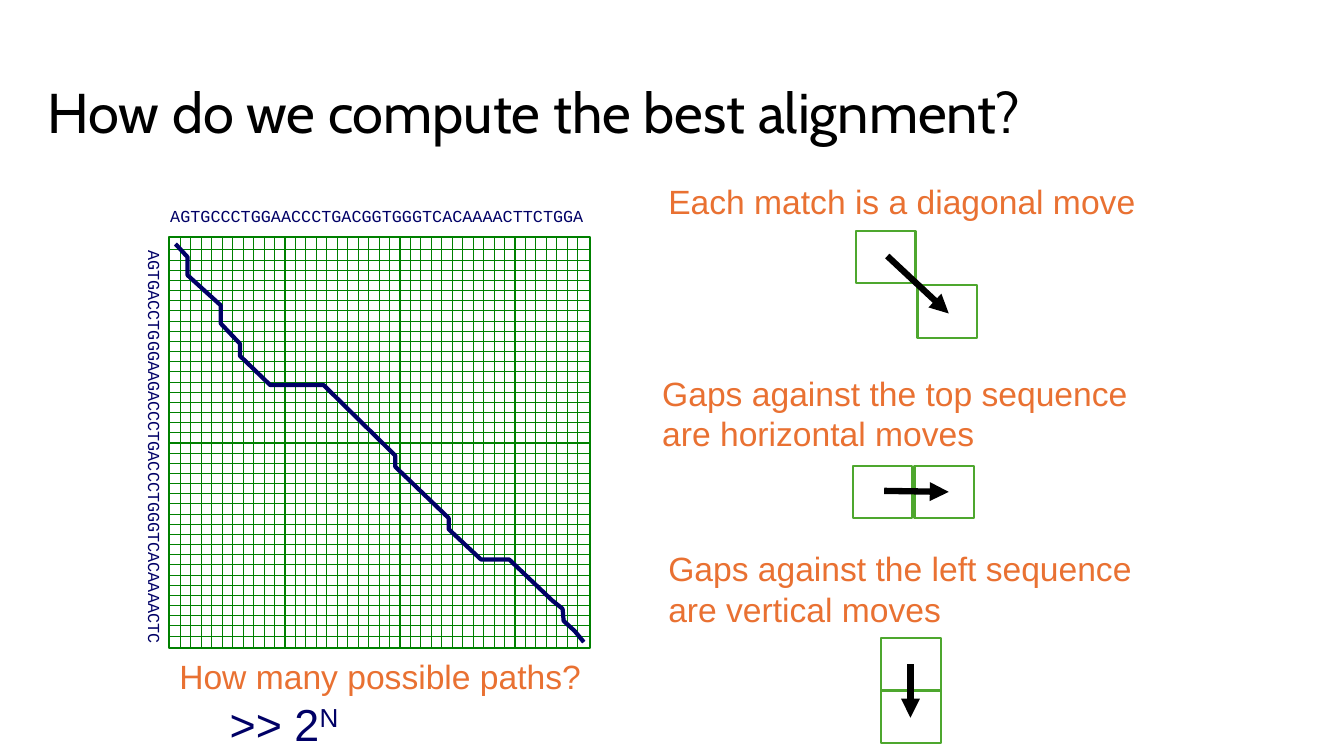
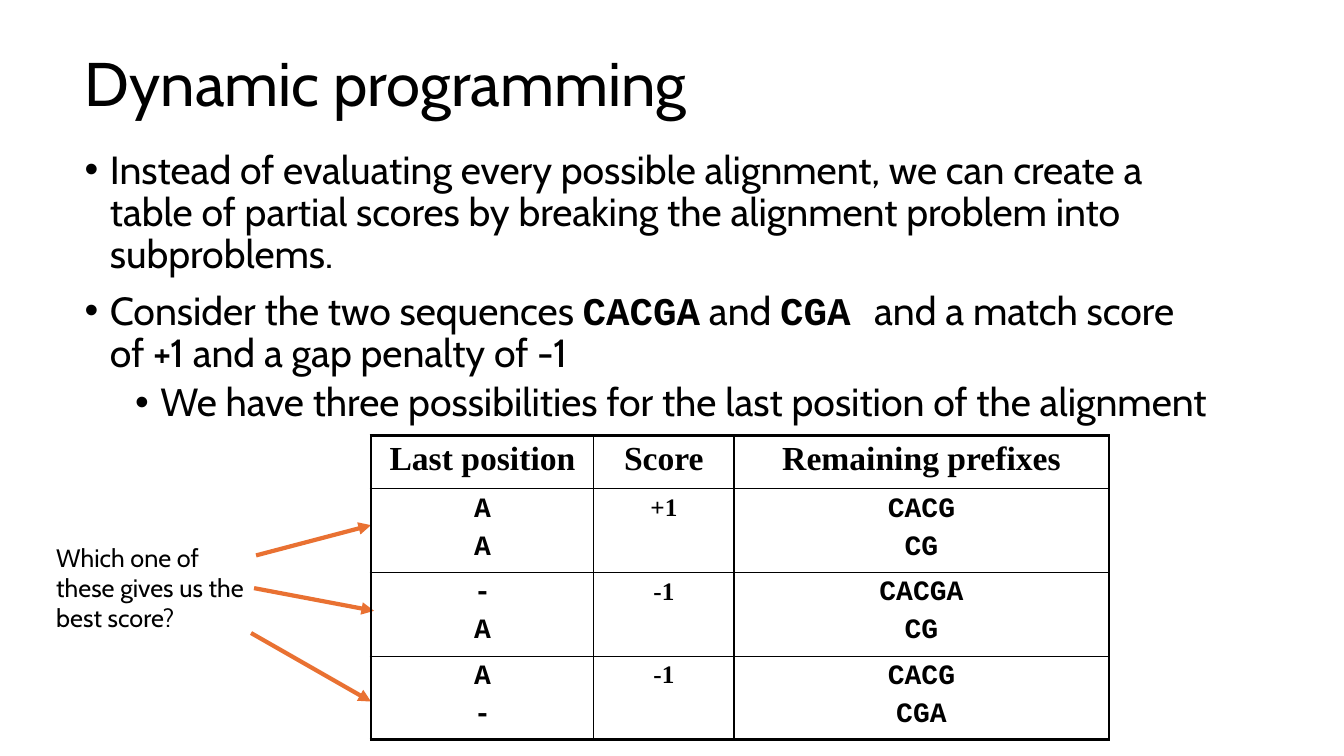
from lxml import etree
from pptx import Presentation
from pptx.dml.color import RGBColor
from pptx.enum.shapes import MSO_CONNECTOR, MSO_SHAPE
from pptx.enum.text import MSO_ANCHOR, MSO_AUTO_SIZE, PP_ALIGN
from pptx.oxml.ns import qn
from pptx.util import Inches, Pt

STRAIGHT = MSO_CONNECTOR.STRAIGHT
RECTANGLE = MSO_SHAPE.RECTANGLE
LEFT, CENTER = PP_ALIGN.LEFT, PP_ALIGN.CENTER
MIDDLE = MSO_ANCHOR.MIDDLE
NO_AUTOFIT = MSO_AUTO_SIZE.NONE

BLACK, WHITE, ORANGE, NAVY = "000000", "FFFFFF", "E97132", "000066"
GRID_GREEN, CELL_GREEN = "008000", "4EA72E"
LAYOUT_TITLE_BODY, LAYOUT_TITLE = 1, 5

TITLE = {"name": "Cabin", "size": Pt(44)}
BODY = {"name": "Cabin", "size": Pt(28), "bold": False}
BODY_CODE = {"name": "Courier New", "size": Pt(28), "bold": True}
QUESTION = {"name": "Cabin", "size": Pt(18)}
CAPTION = {"name": "Arial", "size": Pt(24)}
ANSWER = {"name": "Arial", "size": Pt(32)}
SEQUENCE = {"name": "Courier New", "size": Pt(12)}
HEADER = {"name": "Times New Roman", "size": Pt(24), "bold": True}
SCORE = {"name": "Times New Roman", "size": Pt(18), "bold": True}
PREFIX = {"name": "Courier New", "size": Pt(20), "bold": True}

TOP_SEQUENCE = "AGTGCCCTGGAACCCTGACGGTGGGTCACAAAACTTCTGGA"
LEFT_SEQUENCE = "AGTGACCTGGGAAGACCCTGACCCTGGGTCACAAAACTC"
GRID = (1.68, 2.35, 4.17, 4.08)
GRID_LINES = 39
FIRST_COLUMN, LAST_COLUMN = 1.79, 5.73
FIRST_ROW, LAST_ROW = 2.48, 6.31
ALIGNMENT_PATH = [
    (1.74, 2.42), (1.86, 2.55), (1.86, 2.73), (2.19, 3.03), (2.19, 3.21),
    (2.38, 3.41), (2.38, 3.53), (2.68, 3.82), (3.21, 3.82), (3.92, 4.52),
    (3.92, 4.63), (4.45, 5.14), (4.45, 5.25), (4.77, 5.55), (5.05, 5.55),
    (5.48, 5.96), (5.58, 6.04), (5.59, 6.16), (5.7, 6.26), (5.79, 6.37),
]

CELL_SIZE = (0.59, 0.52)
MOVES = [
    {"caption": "Each match is a diagonal move", "at": (6.53, 1.75, 5.2, 0.5),
     "cells": [(8.49, 2.29), (9.1, 2.83)], "arrow": ((8.8, 2.54), (9.41, 3.11))},
    {"caption": "Gaps against the top sequence are horizontal moves",
     "at": (6.47, 3.65, 5.2, 0.91),
     "cells": [(9.07, 4.62), (8.46, 4.62)], "arrow": ((8.77, 4.87), (9.41, 4.88))},
    {"caption": "Gaps against the left sequence are vertical moves",
     "at": (6.53, 5.39, 5.2, 0.91),
     "cells": [(8.74, 6.85), (8.74, 6.33)], "arrow": ((9.03, 6.59), (9.03, 7.12))},
]

BULLETS = [
    (0, [("Instead of evaluating every possible alignment, we can create a table of "
          "partial scores by breaking the alignment problem into subproblems.", BODY)]),
    (0, [("Consider the two sequences ", BODY), ("CACGA", BODY_CODE), (" and ", BODY),
         ("CGA ", BODY_CODE),
         ("and a match score of +1 and a gap penalty of -1", BODY)]),
    (1, [("We have three possibilities for the last position of the alignment", BODY)]),
]
BULLET_INDENTS = (0.25, 0.75)
BULLET_GAPS = (10, 5)

POSSIBILITIES = [
    (["Last position"], ["Score"], ["Remaining prefixes"]),
    (["A", "A"], ["+1"], ["CACG", "CG"]),
    (["-", "A"], ["-1"], ["CACGA", "CG"]),
    (["A", "-"], ["-1"], ["CACG", "CGA"]),
]
TABLE_LEFT, TABLE_TOP = 3.68, 4.32
COLUMN_WIDTHS = (2.21, 1.39, 3.72)
ROW_HEIGHTS = (0.53, 0.82, 0.82, 0.82)
COLUMN_STYLES = (PREFIX, SCORE, PREFIX)
OUTER_BORDER, INNER_BORDER = 2.25, 1
QUESTION_ARROWS = [
    ((2.49, 6.28), (3.68, 6.96)),
    ((2.52, 5.83), (3.71, 6.06)),
    ((2.54, 5.51), (3.68, 5.21)),
]


def rgb(color):
    return RGBColor.from_string(color)


def inches(values):
    return [Inches(value) for value in values]


def write(paragraph, text, style, color):
    run = paragraph.add_run()
    run.text = text
    for attribute, value in style.items():
        setattr(run.font, attribute, value)
    run.font.color.rgb = rgb(color)
    return run


def add_text(shapes, at, text, style, color, wrap=True):
    box = shapes.add_textbox(*inches(at))
    box.text_frame.word_wrap = wrap
    write(box.text_frame.paragraphs[0], text, style, color)
    return box


def outline(shape, color, width, fill=None):
    shape.shadow.inherit = False
    shape.line.color.rgb = rgb(color)
    shape.line.width = Pt(width)
    if fill:
        shape.fill.solid()
        shape.fill.fore_color.rgb = rgb(fill)
    else:
        shape.fill.background()


def add_line(shapes, start, end, color, width, arrow=False):
    line = shapes.add_connector(STRAIGHT, *inches(start + end))
    line.line.color.rgb = rgb(color)
    line.line.width = Pt(width)
    properties = line._element.spPr
    if arrow:
        etree.SubElement(properties.find(qn("a:ln")), qn("a:tailEnd"), type="triangle")
    etree.SubElement(properties, qn("a:effectLst"))
    return line


def place(placeholder, at):
    placeholder.left, placeholder.top, placeholder.width, placeholder.height = inches(at)
    placeholder.text_frame.auto_size = NO_AUTOFIT
    placeholder.text_frame.word_wrap = True
    return placeholder.text_frame


def add_slide(deck, layout, title, at, size):
    slide = deck.slides.add_slide(deck.slide_layouts[layout])
    frame = place(slide.shapes.title, at)
    frame.vertical_anchor = MIDDLE
    heading = frame.paragraphs[0]
    heading.alignment = LEFT
    heading.line_spacing = 0.9
    write(heading, title, {**TITLE, "size": Pt(size)}, BLACK)
    return slide


def spread(first, last, count):
    return [first + (last - first) * index / (count - 1) for index in range(count)]


def add_alignment_grid(slide):
    parts = slide.shapes.add_group_shape().shapes
    left, top, width, height = GRID
    outline(parts.add_shape(RECTANGLE, *inches(GRID)), GRID_GREEN, 1.5)
    add_text(parts, (1.59, 1.99, 4.33, 0.3), TOP_SEQUENCE, SEQUENCE, NAVY, wrap=False)
    side = add_text(parts, (-0.53, 4.3, 4.13, 0.3), LEFT_SEQUENCE, SEQUENCE, NAVY, wrap=False)
    side.rotation = 90
    for y in spread(FIRST_ROW, LAST_ROW, GRID_LINES):
        add_line(parts, (left, y), (left + width, y), GRID_GREEN, 0.75)
    for x in spread(FIRST_COLUMN, LAST_COLUMN, GRID_LINES):
        add_line(parts, (x, top), (x, top + height), GRID_GREEN, 0.75)
    start, *rest = [inches(point) for point in ALIGNMENT_PATH]
    builder = parts.build_freeform(*start)
    builder.add_line_segments(rest, close=False)
    outline(builder.convert_to_shape(), NAVY, 3)


def add_move(shapes, move):
    add_text(shapes, move["at"], move["caption"], CAPTION, ORANGE)
    for corner in move["cells"]:
        cell = shapes.add_shape(RECTANGLE, *inches(corner + CELL_SIZE))
        outline(cell, CELL_GREEN, 1.5, WHITE)
    add_line(shapes, *move["arrow"], BLACK, 4.5, arrow=True)


def build_alignment_slide(deck):
    slide = add_slide(deck, LAYOUT_TITLE, "How do we compute the best alignment?",
                      (0.37, 0.42, 11.5, 1.45), 40)
    add_alignment_grid(slide)
    paths = add_text(slide.shapes, (1.68, 6.46, 5.2, 1.04), "How many possible paths?",
                     CAPTION, ORANGE)
    answer = paths.text_frame.add_paragraph()
    write(answer, "\t>> 2", ANSWER, NAVY)
    exponent = write(answer, "N", ANSWER, NAVY)
    exponent._r.get_or_add_rPr().set("baseline", "30000")
    for move in MOVES:
        add_move(slide.shapes, move)


def add_bullets(frame):
    for index, (level, runs) in enumerate(BULLETS):
        bullet = frame.add_paragraph() if index else frame.paragraphs[0]
        bullet.level = level
        properties = bullet._p.get_or_add_pPr()
        properties.set("marL", str(Inches(BULLET_INDENTS[level])))
        properties.set("indent", str(Inches(-0.25)))
        etree.SubElement(properties, qn("a:buChar"), char="•")
        bullet.line_spacing = 0.9
        bullet.space_before = Pt(BULLET_GAPS[level] if index else 0)
        for text, style in runs:
            write(bullet, text, style, BLACK)


def set_borders(cell, row, column):
    outer_edges = {
        "a:lnL": column == 0,
        "a:lnR": column == len(COLUMN_WIDTHS) - 1,
        "a:lnT": row == 0,
        "a:lnB": row == len(ROW_HEIGHTS) - 1,
    }
    properties = cell._tc.get_or_add_tcPr()
    for edge, outer in outer_edges.items():
        width = Pt(OUTER_BORDER if outer else INNER_BORDER)
        border = etree.SubElement(properties, qn(edge), w=str(width))
        fill = etree.SubElement(border, qn("a:solidFill"))
        etree.SubElement(fill, qn("a:srgbClr"), val=BLACK)


def add_possibilities(shapes):
    table = shapes.add_table(
        len(ROW_HEIGHTS), len(COLUMN_WIDTHS),
        *inches((TABLE_LEFT, TABLE_TOP, sum(COLUMN_WIDTHS), sum(ROW_HEIGHTS)))).table
    table.first_row = table.horz_banding = False
    for column, width in enumerate(COLUMN_WIDTHS):
        table.columns[column].width = Inches(width)
    for row, height in enumerate(ROW_HEIGHTS):
        table.rows[row].height = Inches(height)
        for column, lines in enumerate(POSSIBILITIES[row]):
            cell = table.cell(row, column)
            set_borders(cell, row, column)
            cell.fill.background()
            style = COLUMN_STYLES[column] if row else HEADER
            for index, text in enumerate(lines):
                frame = cell.text_frame
                entry = frame.add_paragraph() if index else frame.paragraphs[0]
                entry.alignment = CENTER
                entry.space_before = Pt(4.5 if index else 0)
                write(entry, text, style, BLACK)


def build_programming_slide(deck):
    slide = add_slide(deck, LAYOUT_TITLE_BODY, "Dynamic programming",
                      (0.74, 0.54, 7.01, 0.64), 44)
    add_bullets(place(slide.placeholders[1], (0.74, 1.44, 11.42, 5.75)))
    question = add_text(slide.shapes, (0.46, 5.33, 2.06, 1.01),
                        "Which one of these gives us the best score?", QUESTION, BLACK)
    arrows = [add_line(slide.shapes, start, end, ORANGE, 3, arrow=True)
              for start, end in QUESTION_ARROWS]
    arrows[1].begin_connect(question, 3)
    add_possibilities(slide.shapes)


def main():
    deck = Presentation()
    deck.slide_width, deck.slide_height = inches((13.33, 7.5))
    build_alignment_slide(deck)
    build_programming_slide(deck)
    deck.save("out.pptx")


if __name__ == "__main__":
    main()
